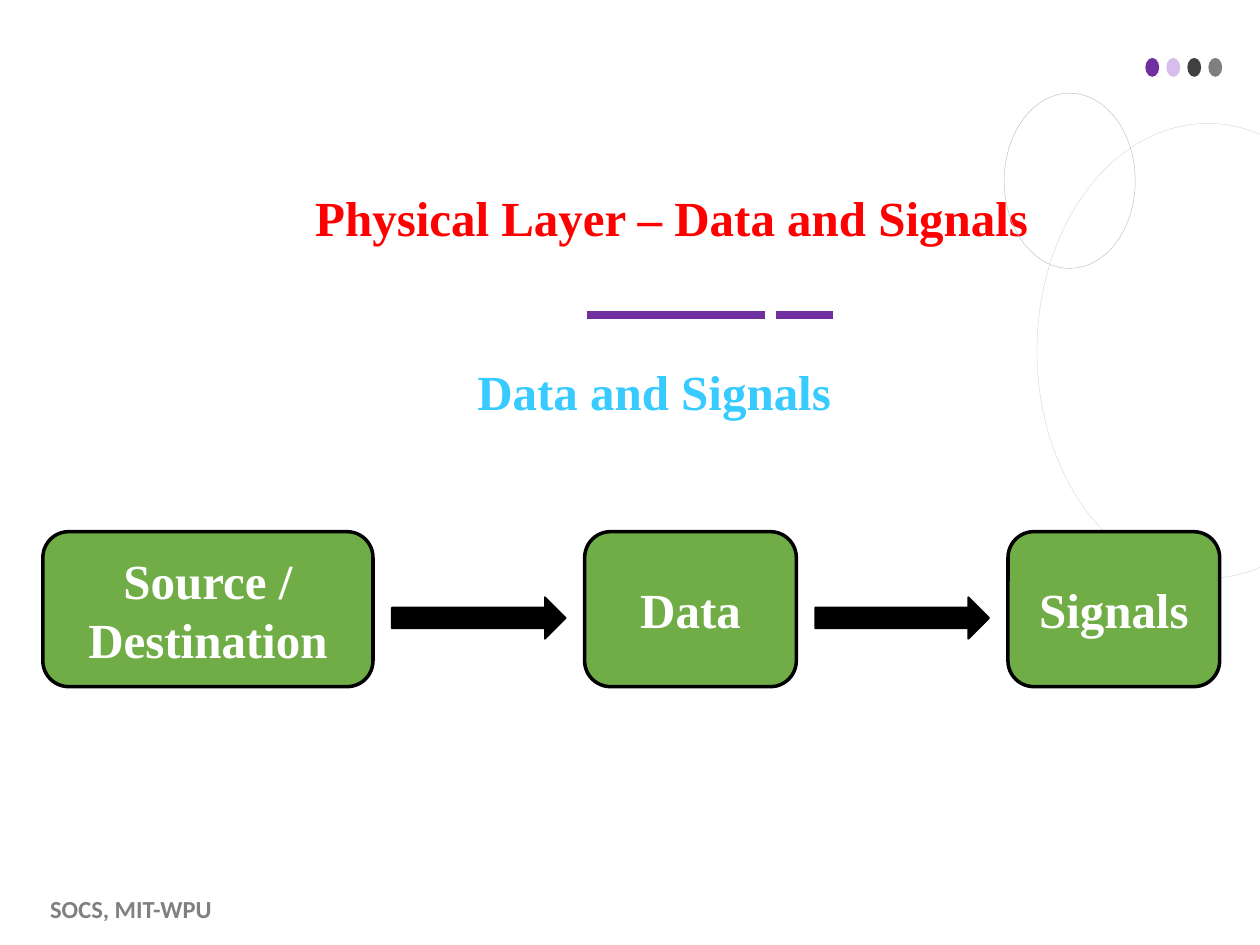
from collections import namedtuple

from lxml import etree
from pptx import Presentation
from pptx.dml.color import RGBColor
from pptx.enum.shapes import MSO_CONNECTOR, MSO_SHAPE
from pptx.enum.text import MSO_ANCHOR, MSO_AUTO_SIZE, PP_ALIGN
from pptx.oxml.ns import qn
from pptx.util import Inches, Pt

# The slide is a grid of 100 columns by 75 rows
COLUMNS, ROWS = 100, 75
UNIT = Inches(0.1)
Box = namedtuple("Box", "left top width height")

PURPLE, GREEN, BLACK, WHITE = "7030A0", "70AD47", "000000", "FFFFFF"
SERIF = "Times New Roman"


def color(hex_text):
    return RGBColor.from_string(hex_text)


def grid(*lengths):
    return [round(length * UNIT) for length in lengths]


def add_shape(slide, kind, box, fill=None, line=None, line_width=1):
    shape = slide.shapes.add_shape(kind, *grid(*box))
    shape.shadow.inherit = False
    if fill:
        shape.fill.solid()
        shape.fill.fore_color.rgb = color(fill)
    else:
        shape.fill.background()
    if line:
        shape.line.color.rgb = color(line)
        shape.line.width = Pt(line_width)
    else:
        shape.line.fill.background()
    return shape


def write(shape, text, hex_text, size=28, font=SERIF, align=PP_ALIGN.LEFT,
          anchor=MSO_ANCHOR.TOP, line_spacing=1.0):
    frame = shape.text_frame
    frame.word_wrap = True
    frame.auto_size = MSO_AUTO_SIZE.NONE
    frame.vertical_anchor = anchor
    paragraph = frame.paragraphs[0]
    paragraph.alignment = align
    paragraph.line_spacing = line_spacing
    run = paragraph.add_run()
    run.text = text
    run.font.name = font
    run.font.size = Pt(size)
    run.font.bold = True
    run.font.color.rgb = color(hex_text)


def add_text(slide, box, text, hex_text, **style):
    write(slide.shapes.add_textbox(*grid(*box)), text, hex_text, **style)


def add_divider(slide, box):
    """Long and short bar with a small gap between them."""
    middle = box.top + box.height / 2
    right = box.left + box.width
    for start, end in ((box.left, box.left + 14.1), (right - 4.5, right)):
        bar = slide.shapes.add_connector(
            MSO_CONNECTOR.STRAIGHT, *grid(start, middle, end, middle))
        bar.line.color.rgb = color(PURPLE)
        bar.line.width = Pt(4.5)
        etree.SubElement(bar._element.spPr, qn("a:effectLst"))


def add_dots(slide, box):
    """Four evenly spaced dots, the second one translucent."""
    dots = ((PURPLE, 100), ("C7A2E3", 70), ("404040", 100), ("7F7F7F", 100))
    dot_width = 1.1
    pitch = (box.width - dot_width) / (len(dots) - 1)
    for index, (fill, opacity) in enumerate(dots):
        dot_box = Box(box.left + index * pitch, box.top, dot_width, box.height)
        dot = add_shape(slide, MSO_SHAPE.OVAL, dot_box, fill)
        if opacity < 100:
            fill_color = dot._element.spPr.find(".//" + qn("a:srgbClr"))
            etree.SubElement(fill_color, qn("a:alpha"), val=str(opacity * 1000))


def add_rings(slide, large_box, small_box):
    for box, line in ((large_box, "D9D9D9"), (small_box, "BFBFBF")):
        add_shape(slide, MSO_SHAPE.OVAL, box, line=line, line_width=0.25)


def add_title(slide, box, text):
    title = slide.shapes.title
    title.left, title.top, title.width, title.height = grid(*box)
    frame = title.text_frame
    frame.margin_left = frame.margin_right = 0
    frame.margin_top = frame.margin_bottom = 0
    write(title, text, "FF0000", align=PP_ALIGN.CENTER,
          anchor=MSO_ANCHOR.BOTTOM, line_spacing=0.9)


def add_flow(slide, box, steps):
    """Rounded steps spread over the box, with an arrow centred in each gap."""
    gap = (box.width - sum(width for _, width in steps)) / (len(steps) - 1)
    arrow_width, arrow_height, arrow_drop = 13.8, 3.3, 0.7
    arrow_top = box.top + (box.height - arrow_height) / 2 + arrow_drop
    left = box.left
    for index, (text, width) in enumerate(steps):
        if index:
            arrow_left = left - (gap + arrow_width) / 2
            add_shape(slide, MSO_SHAPE.RIGHT_ARROW,
                      Box(arrow_left, arrow_top, arrow_width, arrow_height),
                      BLACK, BLACK)
        step = add_shape(slide, MSO_SHAPE.ROUNDED_RECTANGLE,
                         Box(left, box.top, width, box.height), GREEN, BLACK, 2)
        write(step, text, WHITE, align=PP_ALIGN.CENTER, anchor=MSO_ANCHOR.MIDDLE)
        left += width + gap


def main():
    presentation = Presentation()
    presentation.slide_width, presentation.slide_height = grid(COLUMNS, ROWS)
    slide = presentation.slides.add_slide(presentation.slide_layouts[5])
    slide.background.fill.solid()
    slide.background.fill.fore_color.rgb = color(WHITE)

    # Decoration
    add_divider(slide, Box(46.6, 24.5, 19.5, 1))
    add_dots(slide, Box(90.9, 4.6, 6.1, 1.5))
    add_rings(slide, Box(82.3, 9.8, 27.1, 36.1), Box(79.7, 7.4, 10.4, 13.9))

    # Headings and footer
    add_title(slide, Box(18.1, 15.2, 70.4, 4.4), "Physical Layer – Data and Signals")
    add_text(slide, Box(36.9, 28.2, 34.7, 8.8), "Data and Signals", "37CBFF")
    add_text(slide, Box(3, 70.7, 18.6, 2.7), "SOCS, MIT-WPU", "808080",
             size=14, font="Calibri", line_spacing=0.9)

    # Flow from source to signals
    add_flow(slide, Box(3.4, 42.2, 93.4, 12.3),
             (("Source / Destination", 26.2), ("Data", 16.8), ("Signals", 16.8)))

    presentation.save("out.pptx")


if __name__ == "__main__":
    main()
